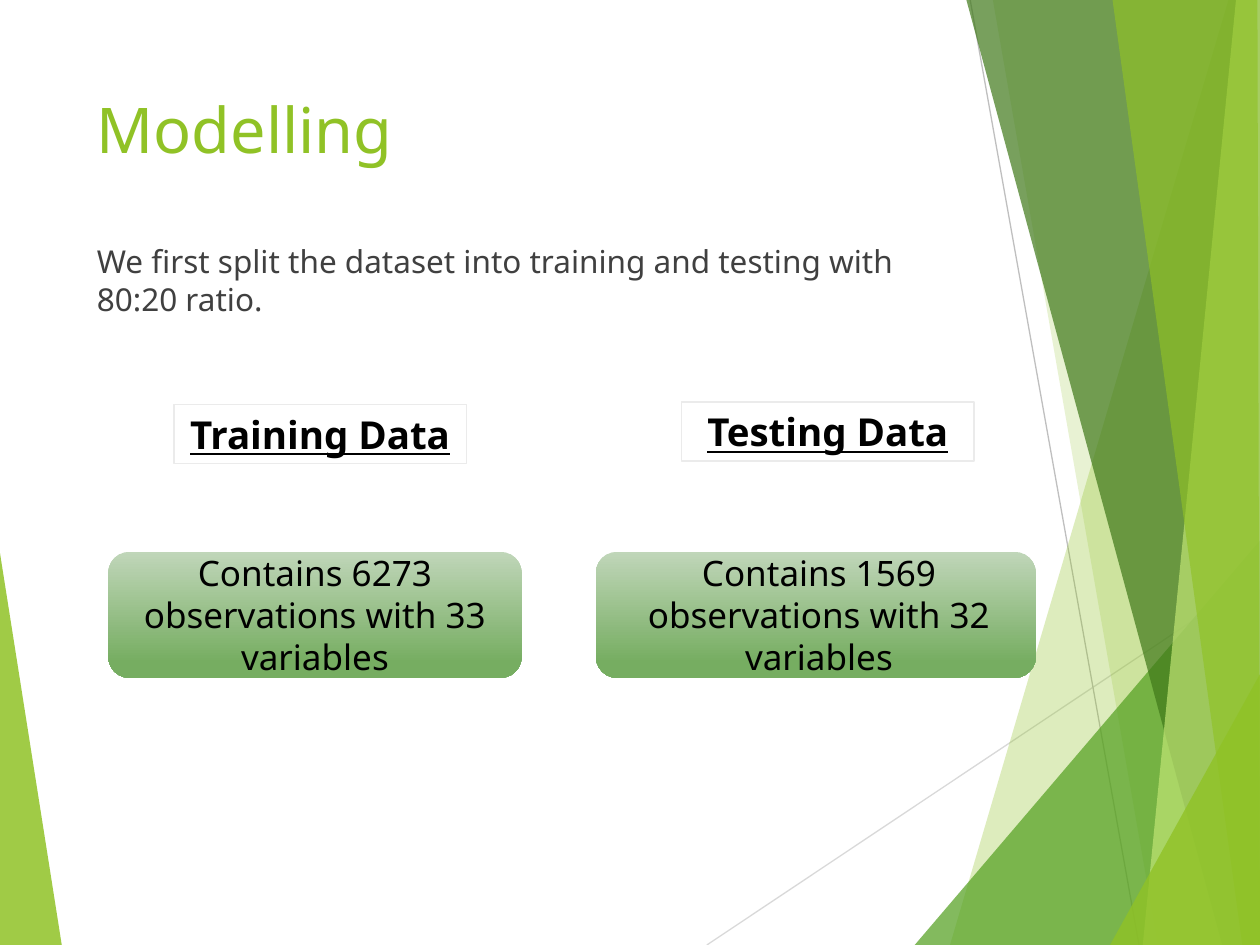
from lxml import etree
from pptx import Presentation
from pptx.dml.color import RGBColor
from pptx.enum.shapes import MSO_CONNECTOR, MSO_SHAPE
from pptx.enum.text import MSO_ANCHOR, PP_ALIGN
from pptx.oxml.ns import qn
from pptx.util import Inches, Pt

STRAIGHT = MSO_CONNECTOR.STRAIGHT
RECT, ROUNDED = MSO_SHAPE.RECTANGLE, MSO_SHAPE.ROUNDED_RECTANGLE
TOP, MIDDLE = MSO_ANCHOR.TOP, MSO_ANCHOR.MIDDLE
LEFT, CENTER = PP_ALIGN.LEFT, PP_ALIGN.CENTER
FONT = "Noto Sans"
WIDTH, HEIGHT = 10, 7.5
COLORS = {
    "lime": "90C226", "green": "54A021", "forest": "3F7819", "pale": "C0E474",
    "ray": "D9D9D9", "beam": "BFBFBF", "body": "404040", "black": "000000",
    "border": "EBEBEB", "card_top": "C0D6B9", "card_bottom": "76AD61",
}
FACETS = [
    ("lime", 85, [(0, 4.39), (0.49, HEIGHT), (0, HEIGHT)]),
    ("lime", 30, [(9.75, 0), (7.54, HEIGHT), (WIDTH, HEIGHT), (WIDTH, 0)]),
    ("lime", 20, [(7.88, 0), (9.19, HEIGHT), (WIDTH, HEIGHT), (WIDTH, 0)]),
    ("green", 72, [(7.26, HEIGHT), (WIDTH, 4.29), (WIDTH, HEIGHT)]),
    ("forest", 70, [(7.67, 0), (9.7, HEIGHT), (WIDTH, HEIGHT), (WIDTH, 0)]),
    ("pale", 70, [(9.81, 0), (9.07, HEIGHT), (WIDTH, HEIGHT), (WIDTH, 0)]),
    ("lime", 65, [(8.83, 0), (9.86, HEIGHT), (WIDTH, HEIGHT), (9.98, 0)]),
    ("lime", 80, [(8.81, HEIGHT), (WIDTH, 5.35), (WIDTH, HEIGHT)]),
]
RAYS = [("ray", (5.61, HEIGHT), (WIDTH, 4.57)), ("beam", (7.7, 0), (9.04, HEIGHT))]
DATASETS = [
    ("Training Data", (1.38, 3.21, 2.32, 0.47),
     "Contains 6273 observations with 33 variables", (0.86, 4.38, 3.28, 1), 0),
    ("Testing Data", (5.41, 3.19, 2.32, 0.47),
     "Contains 1569 observations with 32 variables", (4.73, 4.38, 3.49, 1), 0.05),
]


def rgb(name):
    return RGBColor.from_string(COLORS[name])


def write(shape, text, size, color, align=LEFT, anchor=TOP, heading=False):
    frame = shape.text_frame
    frame.word_wrap = True
    frame.vertical_anchor = anchor
    paragraph = frame.paragraphs[0]
    paragraph.text = text
    paragraph.alignment = align
    font = paragraph.font
    font.name, font.size = FONT, Pt(size)
    font.color.rgb = rgb(color)
    if heading:
        font.bold = font.underline = True
    return paragraph


def add_facet(shapes, color, opacity, points):
    corners = [(Inches(x), Inches(y)) for x, y in points]
    builder = shapes.build_freeform(*corners[0])
    builder.add_line_segments(corners[1:], close=True)
    facet = builder.convert_to_shape()
    facet.shadow.inherit = False
    facet.line.fill.background()
    facet.fill.solid()
    facet.fill.fore_color.rgb = rgb(color)
    tint = facet.fill._xPr.find(".//" + qn("a:srgbClr"))
    etree.SubElement(tint, qn("a:alpha")).set("val", str(opacity * 1000))


def add_ray(shapes, color, start, end):
    ray = shapes.add_connector(STRAIGHT, *map(Inches, start + end))
    ray.line.color.rgb = rgb(color)
    ray.line.width = Pt(0.75)
    etree.SubElement(ray._element.spPr, qn("a:effectLst"))


def add_backdrop(shapes):
    add_facet(shapes, *FACETS[0])
    for ray in RAYS:
        add_ray(shapes, *ray)
    for facet in FACETS[1:]:
        add_facet(shapes, *facet)


def add_text(shapes, box, text, size, color):
    write(shapes.add_textbox(*map(Inches, box)), text, size, color)


def add_card(shapes, box, text, indent):
    card = shapes.add_shape(ROUNDED, *map(Inches, box))
    card.shadow.inherit = False
    card.line.fill.background()
    card.fill.gradient()
    card.fill.gradient_angle = 270
    for stop, color, position in zip(
            card.fill.gradient_stops, ("card_top", "card_bottom"), (0, 0.88)):
        stop.color.rgb = rgb(color)
        stop.position = position
    paragraph = write(card, text, 20, "black", CENTER, MIDDLE)
    paragraph._p.get_or_add_pPr().set("marL", str(Inches(indent)))


def add_heading(shapes, box, text):
    heading = shapes.add_shape(RECT, *map(Inches, box))
    heading.shadow.inherit = False
    heading.fill.background()
    heading.line.color.rgb = rgb("border")
    heading.line.width = Pt(0.75)
    write(heading, text, 22, "black", CENTER, MIDDLE, heading=True)


def build():
    deck = Presentation()
    deck.slide_width, deck.slide_height = Inches(WIDTH), Inches(HEIGHT)
    shapes = deck.slides.add_slide(deck.slide_layouts[6]).shapes
    add_backdrop(shapes)
    add_text(shapes, (0.67, 0.67, 6.94, 1.44), "Modelling", 36, "lime")
    add_text(shapes, (0.67, 1.87, 6.94, 4.74),
             "We first split the dataset into training and testing with 80:20 ratio.",
             18, "body")
    for _, _, summary, card_box, indent in DATASETS:
        add_card(shapes, card_box, summary, indent)
    for title, heading_box, _, _, _ in DATASETS:
        add_heading(shapes, heading_box, title)
    deck.save("out.pptx")


build()
